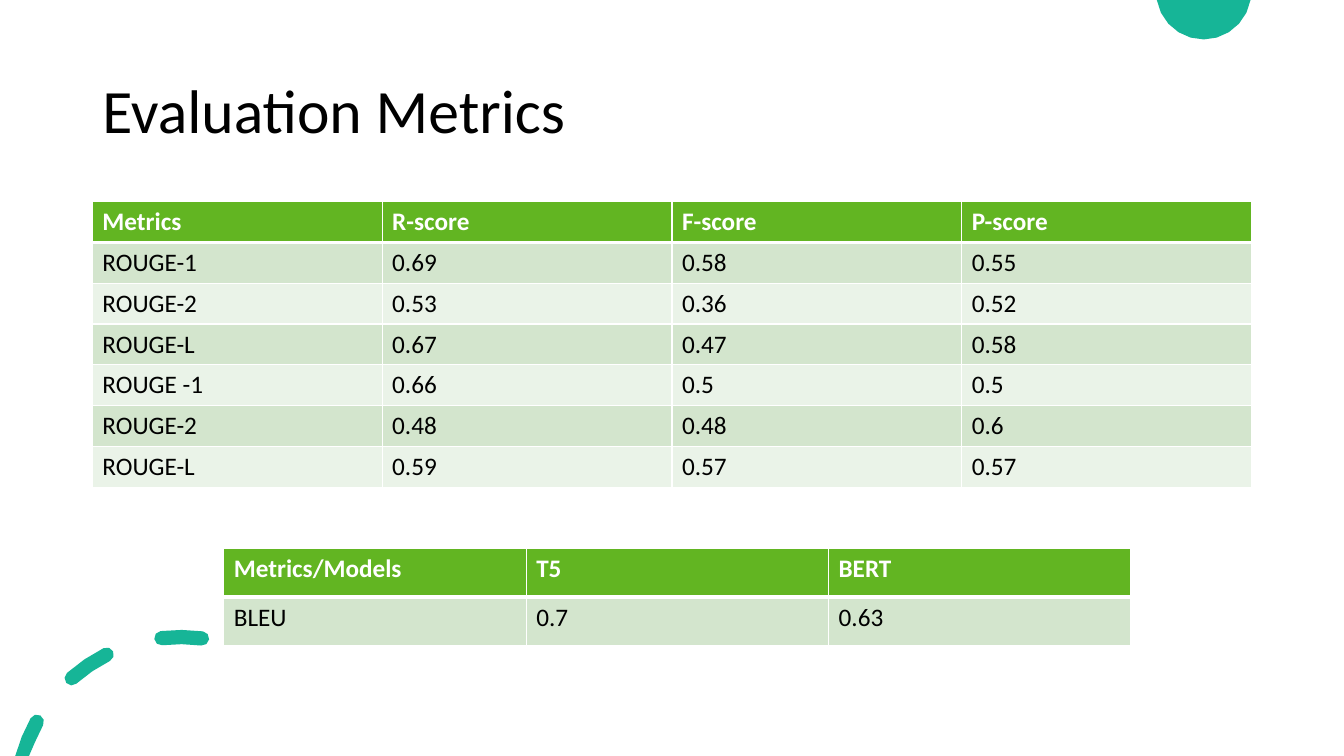
from dataclasses import dataclass
from math import cos, radians, sin

from lxml.etree import SubElement
from pptx import Presentation
from pptx.dml.color import RGBColor
from pptx.enum.text import MSO_ANCHOR
from pptx.oxml.ns import qn
from pptx.util import Inches, Pt

# The slide is a grid of 160 by 90 square cells, 12 to the inch.
COLUMNS, ROWS, CELLS_PER_INCH = 160, 90, 12


@dataclass(frozen=True)
class Theme:
    font: str = "Calibri"
    title_size: int = 44
    table_size: int = 18
    text: str = "000000"
    header_text: str = "FFFFFF"
    header: str = "62B522"
    bands: tuple = ("D3E5CD", "EAF3E8")
    border: str = "FFFFFF"
    thin: int = 1
    thick: int = 3
    accent: str = "16B597"


def cells(n):
    return Inches(n / CELLS_PER_INCH)


def arc(cx, cy, radius, start, end, steps):
    """Points on a circle; angles in degrees, clockwise from the right."""
    angles = [radians(start + (end - start) * i / steps) for i in range(steps + 1)]
    return [(cx + radius * cos(a), cy + radius * sin(a)) for a in angles]


def dash(cx, cy, radius, half_width, start, end):
    """Outline of a piece of a ring with round ends."""
    first, middle, last = arc(cx, cy, radius, start, end, 2)
    turn = (start + end) / 2
    outer, inner = arc(*middle, half_width, turn, turn + 180, 1)
    start_cap = arc(*first, half_width, start + 180, start + 360, 4)
    end_cap = arc(*last, half_width, end, end + 180, 4)
    return [*start_cap, outer, *end_cap, inner]


class SlideBuilder:
    def __init__(self, slide, theme):
        self.s = slide
        self.theme = theme

    def style(self, p, size, color, bold=False):
        for r in p.runs:
            r.font.name = self.theme.font
            r.font.size = Pt(size)
            r.font.bold = bold
            r.font.color.rgb = RGBColor.from_string(color)

    def title(self, text, left, top, width, height):
        box = self.s.shapes.add_textbox(*map(cells, (left, top, width, height)))
        tf = box.text_frame
        tf.word_wrap = True
        tf.vertical_anchor = MSO_ANCHOR.MIDDLE
        tf.text = text
        p = tf.paragraphs[0]
        p.line_spacing = 0.9
        self.style(p, self.theme.title_size, self.theme.text)

    def outline(self, *contours):
        """One filled shape, cut off at the slide's top and bottom edges."""
        contours = [
            [(cells(x), cells(min(max(y, 0), ROWS))) for x, y in contour]
            for contour in contours
        ]
        builder = self.s.shapes.build_freeform(*contours[0][0], scale=1.0)
        for i, points in enumerate(contours):
            if i:
                builder.move_to(*points[0])
            builder.add_line_segments(points[1:], close=True)
        sp = builder.convert_to_shape()
        sp.shadow.inherit = False
        sp.fill.solid()
        sp.fill.fore_color.rgb = RGBColor.from_string(self.theme.accent)
        sp.line.fill.background()

    def borders(self, cell, row):
        t = self.theme
        widths = {
            "a:lnL": t.thin,
            "a:lnR": t.thin,
            "a:lnT": t.thick if row == 1 else t.thin,
            "a:lnB": t.thick if row == 0 else t.thin,
        }
        tc_pr = cell._tc.get_or_add_tcPr()
        for tag, width in widths.items():
            ln = SubElement(tc_pr, qn(tag), w=str(Pt(width)))
            fill = SubElement(ln, qn("a:solidFill"))
            SubElement(fill, qn("a:srgbClr"), val=t.border)

    def table(self, rows, left, top, width, height):
        t = self.theme
        frame = self.s.shapes.add_table(
            len(rows), len(rows[0]), *map(cells, (left, top, width, height))
        )
        for i, values in enumerate(rows):
            header = i == 0
            for j, value in enumerate(values):
                cell = frame.table.cell(i, j)
                cell.text_frame.text = value
                self.style(
                    cell.text_frame.paragraphs[0],
                    t.table_size,
                    t.header_text if header else t.text,
                    header,
                )
                self.borders(cell, i)
                color = t.header if header else t.bands[(i - 1) % 2]
                cell.fill.solid()
                cell.fill.fore_color.rgb = RGBColor.from_string(color)


def main():
    prs = Presentation()
    prs.slide_width, prs.slide_height = cells(COLUMNS), cells(ROWS)
    slide = SlideBuilder(prs.slides.add_slide(prs.slide_layouts[6]), Theme())

    slide.outline(arc(143.3, -0.96, 5.66, 10, 170, 10))
    dash_angles = ((195.3, 209), (228.5, 243.3), (263.3, 277.5))
    slide.outline(*(dash(21.5, 95.4, 19.56, 0.85, *ends) for ends in dash_angles))

    slide.title("Evaluation Metrics", 11, 4.8, 138, 17.4)
    rouge_scores = [
        ("Metrics", "R-score", "F-score", "P-score"),
        ("ROUGE-1", "0.69", "0.58", "0.55"),
        ("ROUGE-2", "0.53", "0.36", "0.52"),
        ("ROUGE-L", "0.67", "0.47", "0.58"),
        ("ROUGE -1", "0.66", "0.5", "0.5"),
        ("ROUGE-2", "0.48", "0.48", "0.6"),
        ("ROUGE-L", "0.59", "0.57", "0.57"),
    ]
    slide.table(rouge_scores, 11, 24, 138, 34)
    bleu_scores = [("Metrics/Models", "T5", "BERT"), ("BLEU", "0.7", "0.63")]
    slide.table(bleu_scores, 26.64, 65.3, 108, 11.6)
    prs.save("out.pptx")


if __name__ == "__main__":
    main()
